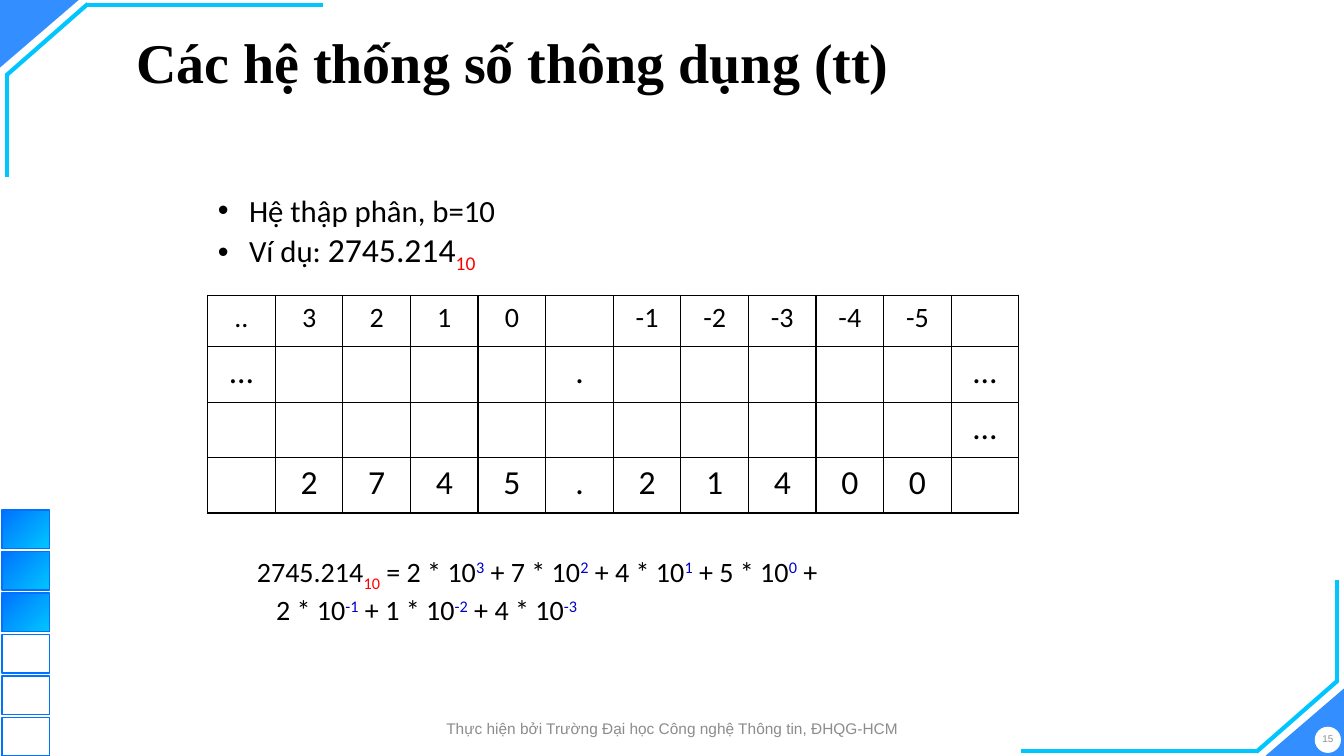
from dataclasses import dataclass
from typing import Optional

from lxml.etree import SubElement
from pptx import Presentation
from pptx.dml.color import RGBColor
from pptx.enum.shapes import MSO_CONNECTOR, MSO_SHAPE
from pptx.enum.text import MSO_ANCHOR, MSO_AUTO_SIZE, PP_ALIGN
from pptx.oxml import parse_xml
from pptx.oxml.ns import nsdecls, qn
from pptx.util import Inches, Pt

COLORS = {
    "blue": "0072FF",
    "cyan": "00C6FF",
    "white": "FFFFFF",
    "black": "000000",
    "base": "FF0000",
    "exponent": "0000CC",
    "footer": "8C8C8C",
}


@dataclass(frozen=True)
class Box:
    left: float
    top: float
    width: float
    height: float

    def lengths(self) -> list:
        return [Inches(v) for v in (self.left, self.top, self.width, self.height)]


@dataclass(frozen=True)
class Stroke:
    x1: float
    y1: float
    x2: float
    y2: float


@dataclass(frozen=True)
class Corner:
    box: Box
    rotation: int
    strokes: tuple


@dataclass(frozen=True)
class Label:
    text: str
    box: Box
    size: int


CORNERS = (
    Corner(Box(0, 0, 0.78, 0.67), 180, (
        Stroke(3.2, 0.05, 0.85, 0.05),
        Stroke(0.87, 0.04, 0.06, 0.75),
        Stroke(0.07, 1.76, 0.07, 0.73),
    )),
    Corner(Box(12.55, 6.83, 0.78, 0.67), 0, (
        Stroke(10.13, 7.45, 12.48, 7.45),
        Stroke(12.46, 7.46, 13.27, 6.75),
        Stroke(13.26, 5.75, 13.26, 6.77),
    )),
)
LABELS = (
    Label("Thực hiện bởi Trường Đại học Công nghệ Thông tin, ĐHQG-HCM",
          Box(3.99, 7.08, 5.36, 0.29), 11),
    Label("15", Box(13.01, 7.17, 0.32, 0.32), 7),
)
DIGIT_TABLE = (
    ("..", "3", "2", "1", "0", "", "-1", "-2", "-3", "-4", "-5", ""),
    ("…", "", "", "", "", ".", "", "", "", "", "", "…"),
    ("",) * 11 + ("…",),
    ("", "2", "7", "4", "5", ".", "2", "1", "4", "0", "0", ""),
)
EXPANSION_LINES = (
    (("2", "3"), ("7", "2"), ("4", "1"), ("5", "0")),
    (("2", "-1"), ("1", "-2"), ("4", "-3")),
)


def rgb(name: str) -> RGBColor:
    return RGBColor.from_string(COLORS[name])


def write(paragraph, text: str, *, size: float, color: str = "black",
          font: str = "Calibri", bold: bool = False, baseline: int = 0) -> None:
    run = paragraph.add_run()
    run.text = text
    run.font.size = Pt(size)
    run.font.name = font
    run.font.bold = bold
    run.font.color.rgb = rgb(color)
    if baseline:
        run._r.get_or_add_rPr().set("baseline", str(baseline * 1000))


def add_preset(slide, kind: MSO_SHAPE, box: Box, fill: Optional[str] = None):
    preset = slide.shapes.add_shape(kind, *box.lengths())
    preset.shadow.inherit = False
    preset.line.fill.background()
    if fill:
        preset.fill.solid()
        preset.fill.fore_color.rgb = rgb(fill)
    else:
        preset.fill.background()
    return preset


def add_stroke(slide, stroke: Stroke) -> None:
    ends = [Inches(v) for v in (stroke.x1, stroke.y1, stroke.x2, stroke.y2)]
    connector = slide.shapes.add_connector(MSO_CONNECTOR.STRAIGHT, *ends)
    connector.line.color.rgb = rgb("cyan")
    connector.line.width = Pt(3)
    SubElement(connector._element.spPr, qn("a:effectLst"))


def add_corner(slide, corner: Corner) -> None:
    triangle = add_preset(slide, MSO_SHAPE.ISOSCELES_TRIANGLE, corner.box, "blue")
    triangle.adjustments[0] = 1
    triangle.rotation = corner.rotation
    color = triangle._element.spPr.find(qn("a:solidFill"))[0]
    SubElement(color, qn("a:alpha")).set("val", "80000")
    for stroke in corner.strokes:
        add_stroke(slide, stroke)


def add_side_squares(slide, count: int = 6, filled: int = 3) -> None:
    first, last = 5.06, 7.12
    for index in range(count):
        top = first + index * (last - first) / (count - 1)
        square = add_preset(slide, MSO_SHAPE.RECTANGLE, Box(0.02, top, 0.47, 0.38))
        square.line.color.rgb = rgb("blue")
        square.line.width = Pt(1)
        if index < filled:
            square.fill.gradient()
            square.fill.gradient_angle = 315
            for stop, name in zip(square.fill.gradient_stops, ("blue", "cyan")):
                stop.color.rgb = rgb(name)


def place(holder, box: Box):
    holder.left, holder.top, holder.width, holder.height = box.lengths()
    frame = holder.text_frame
    frame.word_wrap = True
    frame.auto_size = MSO_AUTO_SIZE.NONE
    return frame


def fill_title(slide) -> None:
    frame = place(slide.shapes.title, Box(1.25, 0.16, 11.5, 0.98))
    frame.vertical_anchor = MSO_ANCHOR.MIDDLE
    heading = frame.paragraphs[0]
    heading.alignment = PP_ALIGN.LEFT
    heading.line_spacing = 0.9
    write(heading, "Các hệ thống số thông dụng (tt)", size=40,
          font="Times New Roman", bold=True)


def fill_list(slide) -> None:
    frame = place(slide.placeholders[1], Box(2.06, 1.85, 3.24, 0.87))
    system, example = frame.paragraphs[0], frame.add_paragraph()
    for item in (system, example):
        properties = item._p.get_or_add_pPr()
        properties.set("marL", str(Inches(0.31)))
        properties.set("indent", str(-Inches(0.31)))
        item.space_before = Pt(0)
    write(system, "Hệ thập phân, b=10", size=22)
    write(example, "Ví dụ: ", size=22)
    write(example, "2745.214", size=24)
    write(example, "10", size=24, color="base", baseline=-25)


def set_borders(cell) -> None:
    properties = cell._tc.get_or_add_tcPr()
    for index, side in enumerate(("lnL", "lnR", "lnT", "lnB")):
        properties.insert(index, parse_xml(
            f'<a:{side} {nsdecls("a")} w="{Pt(0.96)}"><a:solidFill>'
            f'<a:srgbClr val="{COLORS["black"]}"/></a:solidFill></a:{side}>'))


def add_digit_table(slide) -> None:
    box = Box(2.06, 2.93, 8.05, 2.16)
    columns = len(DIGIT_TABLE[0])
    grid = slide.shapes.add_table(len(DIGIT_TABLE), columns, *box.lengths()).table
    grid.first_row = grid.horz_banding = False
    for column in grid.columns:
        column.width = Inches(box.width / columns)
    for r, values in enumerate(DIGIT_TABLE):
        grid.rows[r].height = Inches(0.55 if r else 0.51)
        for c, value in enumerate(values):
            cell = grid.cell(r, c)
            cell.fill.background()
            set_borders(cell)
            if value:
                paragraph = cell.text_frame.paragraphs[0]
                paragraph.alignment = PP_ALIGN.CENTER
                write(paragraph, value, size=24 if r else 20)


def add_expansion(slide) -> None:
    area = slide.shapes.add_textbox(*Box(2.45, 5.45, 7.6, 0.77).lengths())
    frame = area.text_frame
    frame.word_wrap = True
    first, second = frame.paragraphs[0], frame.add_paragraph()
    second._p.get_or_add_pPr().set("marL", str(Inches(0.19)))
    write(first, "2745.214", size=20)
    write(first, "10", size=20, color="base", baseline=-25)
    write(first, " = ", size=20)
    for line, terms in zip((first, second), EXPANSION_LINES):
        for index, (digit, power) in enumerate(terms):
            write(line, f"{' + ' if index else ''}{digit} * 10", size=20)
            write(line, power, size=20, color="exponent", baseline=30)
    write(first, " +", size=20)


def add_label(slide, label: Label) -> None:
    frame = slide.shapes.add_textbox(*label.box.lengths()).text_frame
    frame.word_wrap = True
    frame.vertical_anchor = MSO_ANCHOR.MIDDLE
    frame.margin_left = frame.margin_right = 0
    frame.paragraphs[0].alignment = PP_ALIGN.CENTER
    write(frame.paragraphs[0], label.text, size=label.size, color="footer", font="Arial")


def main() -> None:
    deck = Presentation()
    deck.slide_width, deck.slide_height = Inches(13.33), Inches(7.5)
    slide = deck.slides.add_slide(deck.slide_layouts[1])
    for corner in CORNERS:
        add_corner(slide, corner)
    add_preset(slide, MSO_SHAPE.OVAL, Box(13.04, 7.21, 0.26, 0.26), "white")
    add_side_squares(slide)
    fill_title(slide)
    add_digit_table(slide)
    fill_list(slide)
    add_expansion(slide)
    for label in LABELS:
        add_label(slide, label)
    deck.save("out.pptx")


if __name__ == "__main__":
    main()
